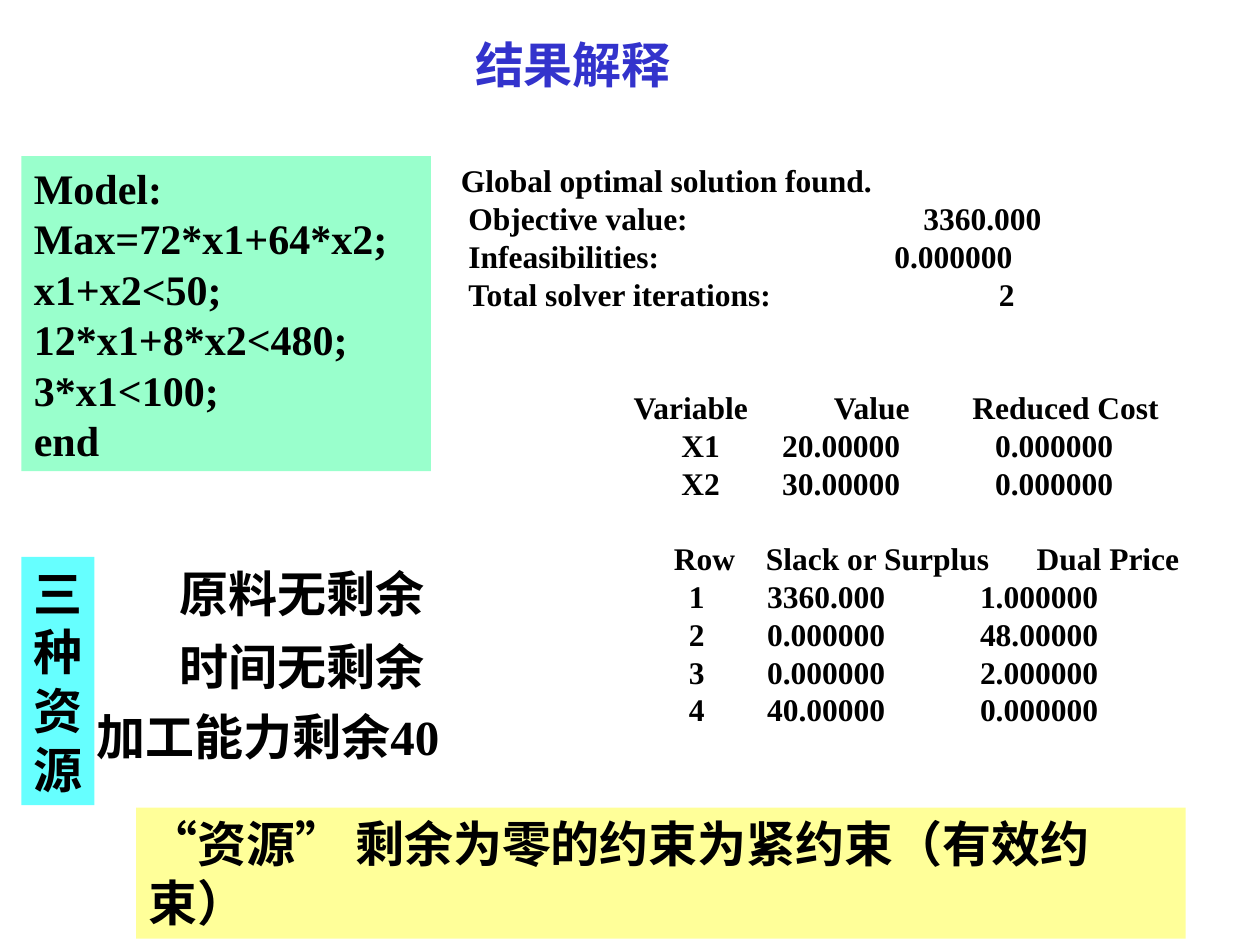
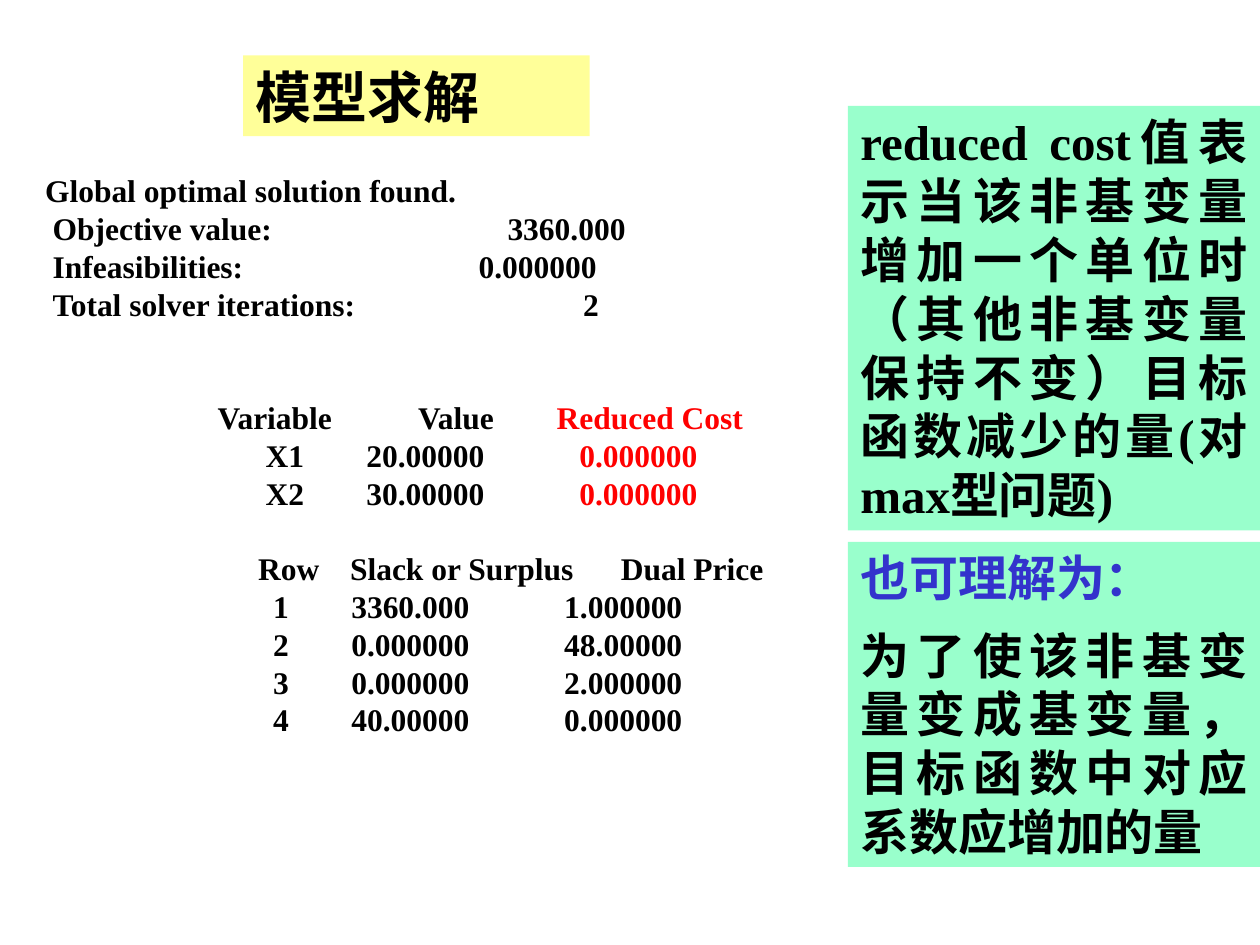
"""Build two slides that explain the solver results of a linear programme."""
from dataclasses import dataclass
from typing import Optional

import pptx
import pptx.dml.color
import pptx.enum.shapes
import pptx.enum.text
import pptx.oxml
import pptx.oxml.ns
import pptx.util
from pptx.util import Inches

RGBColor = pptx.dml.color.RGBColor
BLACK = RGBColor(0x00, 0x00, 0x00)
WHITE = RGBColor(0xFF, 0xFF, 0xFF)
BLUE = RGBColor(0x33, 0x33, 0xCC)
RED = RGBColor(0xFF, 0x00, 0x00)
GREEN = RGBColor(0x99, 0xFF, 0xCC)
CYAN = RGBColor(0x66, 0xFF, 0xFF)
YELLOW = RGBColor(0xFF, 0xFF, 0x99)
LATIN_FONT = "Times New Roman"
CJK_FONT = "Noto Sans CJK SC"
LINE_HEIGHT = 1.2
REPORT_SIZE = 18
LEFT = pptx.enum.text.PP_ALIGN.LEFT
JUSTIFY = pptx.enum.text.PP_ALIGN.JUSTIFY


@dataclass(frozen=True)
class Box:
    """A text panel; colors and space apply per paragraph and between them."""
    left: float
    top: float
    width: float
    height: float
    lines: tuple[str, ...]
    size: float = 28
    fill: Optional[RGBColor] = None
    align: int = LEFT
    colors: tuple[RGBColor, ...] = (BLACK,)
    space: float = 0


@dataclass(frozen=True)
class ReportLine:
    """Cells of a solver report line, their tab stops, and blank lines above."""
    cells: tuple[str, ...]
    stops: tuple[float, ...]
    gap: int = 0
    reduced_cost: bool = False


VARIABLE_STOPS = (1.81, 2.61, 4.3)
ROW_STOPS = (1.87, 2.49, 4.18)
VARIABLES = (("X1", "20.00000", "0.000000"), ("X2", "30.00000", "0.000000"))
ROWS = (
    ("1", "3360.000", "1.000000"),
    ("2", "0.000000", "48.00000"),
    ("3", "0.000000", "2.000000"),
    ("4", "40.00000", "0.000000"),
)
REPORT = (
    ReportLine(("Global optimal solution found.",), (0.06,)),
    ReportLine(("Objective value:", "3360.000"), (0.12, 3.73)),
    ReportLine(("Infeasibilities:", "0.000000"), (0.12, 3.5)),
    ReportLine(("Total solver iterations:", "2"), (0.12, 4.33)),
    ReportLine(("Variable", "Value", "Reduced Cost"), (1.43, 3.02, 4.12), 2, True),
    *(ReportLine(cells, VARIABLE_STOPS, reduced_cost=True) for cells in VARIABLES),
    ReportLine(("Row", "Slack or Surplus", "Dual Price"), (1.75, 2.48, 4.63), 1),
    *(ReportLine(cells, ROW_STOPS) for cells in ROWS),
)

MODEL = ("Model:", "Max=72*x1+64*x2;", "x1+x2<50;", "12*x1+8*x2<480;", "3*x1<100;", "end")
RESULT_BOXES = (
    Box(1.33, 4.42, 2.25, 0.57, ("原料无剩余",)),
    Box(1.33, 5, 2.25, 0.57, ("时间无剩余",)),
    Box(0.67, 5.56, 3.2, 0.57, ("加工能力剩余40",)),
    Box(0.17, 1.24, 3.25, 2.5, MODEL, 24, GREEN),
    Box(0.17, 4.42, 0.58, 1.97, ("三种资源",), fill=CYAN),
    Box(1.08, 6.41, 8.33, 1.04, ("“资源” 剩余为零的约束为紧约束（有效约束）",), fill=YELLOW),
)
REDUCED_COST_BOXES = (
    Box(6.73, 0.84, 3.27, 3.37,
        ("reduced cost值表示当该非基变量增加一个单位时（其他非基变量保持不变）"
         "目标函数减少的量(对max型问题)",), fill=GREEN, align=JUSTIFY),
    Box(6.73, 4.3, 3.27, 2.58,
        ("也可理解为：", "为了使该非基变量变成基变量，目标函数中对应系数应增加的量"),
        fill=GREEN, align=JUSTIFY, colors=(BLUE, BLACK), space=10.5),
)


def format_run(r, size: float, color: RGBColor, latin: str = LATIN_FONT) -> None:
    """Set the bold Latin and CJK type of a run."""
    r.font.size = pptx.util.Pt(size)
    r.font.bold = True
    r.font.color.rgb = color
    r.font.name = latin
    ea = pptx.oxml.parse_xml(
        f'<a:ea {pptx.oxml.ns.nsdecls("a")} typeface="{CJK_FONT}"/>')
    r.font._element.find(pptx.oxml.ns.qn("a:latin")).addnext(ea)


def add_panel(slide, box: Box):
    """Add an empty panel, filled if the box has a colour, and return its frame."""
    place = [Inches(v) for v in (box.left, box.top, box.width, box.height)]
    if box.fill is None:
        sp = slide.shapes.add_textbox(*place)
    else:
        sp = slide.shapes.add_shape(pptx.enum.shapes.MSO_SHAPE.RECTANGLE, *place)
        sp.shadow.inherit = False
        sp.fill.solid()
        sp.fill.fore_color.rgb = box.fill
        sp.line.fill.background()
    tf = sp.text_frame
    tf.word_wrap = True
    tf.vertical_anchor = pptx.enum.text.MSO_ANCHOR.TOP
    return tf


def add_box(slide, box: Box) -> None:
    """Add a panel with its paragraphs."""
    tf = add_panel(slide, box)
    tf.text = "\n".join(box.lines)
    for i, p in enumerate(tf.paragraphs):
        p.alignment = box.align
        p.line_spacing = pptx.util.Pt(box.size * LINE_HEIGHT)
        if i and box.space:
            p.space_before = pptx.util.Pt(box.space)
        for r in p.runs:
            format_run(r, box.size, box.colors[min(i, len(box.colors) - 1)])


def set_tabs(p, stops: tuple[float, ...]) -> None:
    """Give a paragraph left tab stops, in inches."""
    tabs = "".join(f'<a:tab pos="{Inches(stop)}" algn="l"/>' for stop in stops)
    p._p.get_or_add_pPr().append(pptx.oxml.parse_xml(
        f'<a:tabLst {pptx.oxml.ns.nsdecls("a")}>{tabs}</a:tabLst>'))


def add_report(slide, left: float, top: float, accent: RGBColor) -> None:
    """Add the solver report with its reduced costs in the accent colour."""
    tf = add_panel(slide, Box(left, top, 6.5, 4.6, (), fill=WHITE))
    line_height = REPORT_SIZE * LINE_HEIGHT
    for i, line in enumerate(REPORT):
        p = tf.add_paragraph() if i else tf.paragraphs[0]
        p.alignment = LEFT
        p.line_spacing = pptx.util.Pt(line_height)
        if line.gap:
            p.space_before = pptx.util.Pt(line.gap * line_height)
        set_tabs(p, line.stops)
        for j, cell in enumerate(line.cells):
            r = p.add_run()
            r.text = "\t" + cell
            format_run(r, REPORT_SIZE, accent if line.reduced_cost and j == 2 else BLACK)


def add_title(slide, box: Box, latin: str = LATIN_FONT) -> None:
    """Place and format the title placeholder."""
    sp = slide.shapes.title
    sp.left, sp.top = Inches(box.left), Inches(box.top)
    sp.width, sp.height = Inches(box.width), Inches(box.height)
    if box.fill is not None:
        sp.fill.solid()
        sp.fill.fore_color.rgb = box.fill
    tf = sp.text_frame
    tf.text = box.lines[0]
    tf.word_wrap = True
    tf.auto_size = pptx.enum.text.MSO_AUTO_SIZE.NONE
    tf.vertical_anchor = pptx.enum.text.MSO_ANCHOR.MIDDLE
    p = tf.paragraphs[0]
    p.alignment = box.align
    p.line_spacing = pptx.util.Pt(box.size * LINE_HEIGHT)
    format_run(p.runs[0], box.size, box.colors[0], latin)


def main() -> None:
    """Build and save both slides."""
    prs = pptx.Presentation()
    prs.slide_width, prs.slide_height = Inches(10), Inches(7.5)
    title_only = prs.slide_layouts[5]

    s = prs.slides.add_slide(title_only)
    add_title(s, Box(3.67, 0.17, 2.67, 0.67, ("结果解释",), colors=(BLUE,)), CJK_FONT)
    add_report(s, 3.5, 1.23, BLACK)
    for box in RESULT_BOXES:
        add_box(s, box)

    s = prs.slides.add_slide(title_only)
    add_title(s, Box(1.93, 0.44, 2.75, 0.64, ("模型求解",), 32, YELLOW))
    add_report(s, 0.2, 1.31, RED)
    for box in REDUCED_COST_BOXES:
        add_box(s, box)

    prs.save("out.pptx")


if __name__ == "__main__":
    main()
